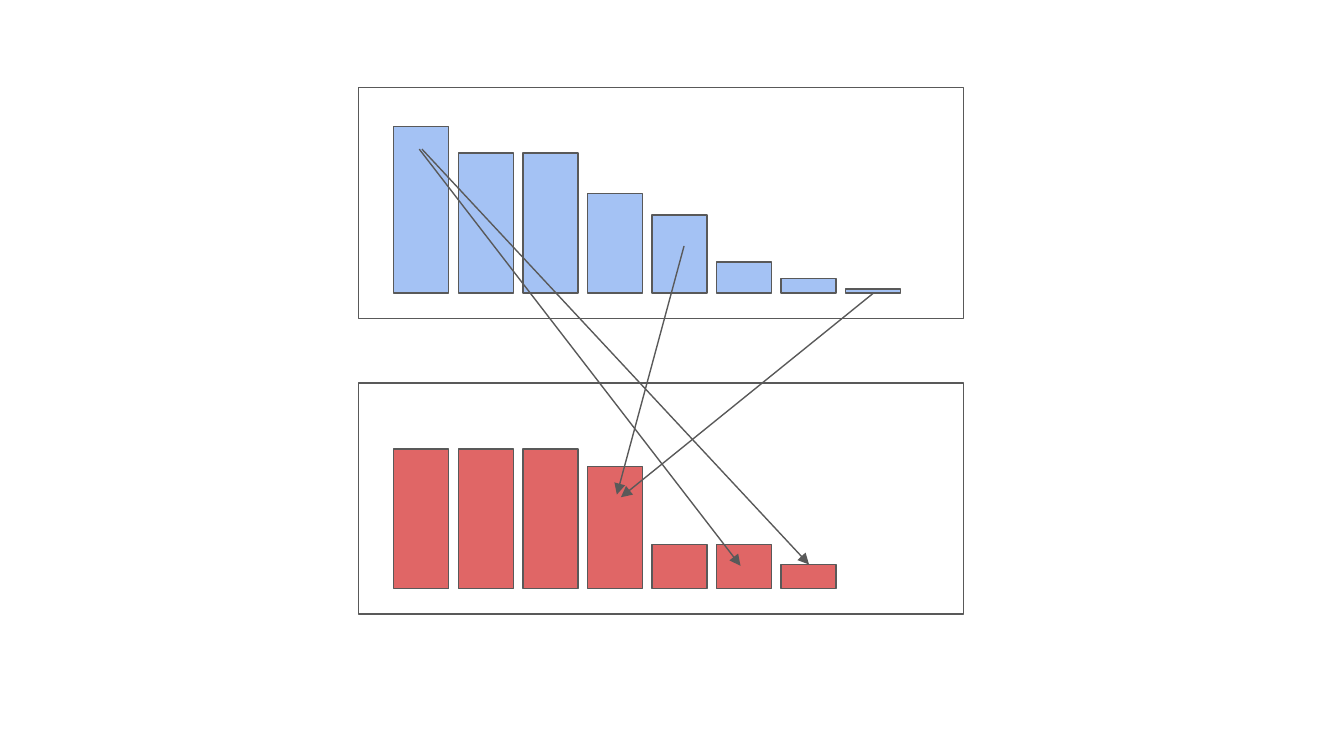
import pptx
import pptx.dml.color
import pptx.enum.shapes
import pptx.oxml.ns
import pptx.util
from dataclasses import dataclass
from lxml import etree


@dataclass(frozen=True)
class Theme:
    line: str = "595959"
    blue: str = "A4C2F4"
    red: str = "E06666"
    line_width: float = 0.75


theme = Theme()
qn = pptx.oxml.ns.qn
Inches = pptx.util.Inches


def set_line(shape):
    shape.line.color.rgb = pptx.dml.color.RGBColor.from_string(theme.line)
    shape.line.width = pptx.util.Pt(theme.line_width)


def add_rect(s, left, top, width, height, fill=None):
    sp = s.shapes.add_shape(
        pptx.enum.shapes.MSO_SHAPE.RECTANGLE,
        Inches(left), Inches(top), Inches(width), Inches(height))
    sp.shadow.inherit = False
    if fill:
        sp.fill.solid()
        sp.fill.fore_color.rgb = pptx.dml.color.RGBColor.from_string(fill)
    else:
        sp.fill.background()
    set_line(sp)


prs = pptx.Presentation()
prs.slide_width = Inches(10)
prs.slide_height = Inches(10 * 9 / 16)
s = prs.slides.add_slide(prs.slide_layouts[6])

panel_left, panel_width, panel_height = 2.67, 4.5, 1.72
bar_left, bar_width, bar_pitch = 2.93, 0.41, 0.48
panels = [
    (0.65, 2.18, theme.blue, [1.24, 1.04, 1.04, 0.74, 0.58, 0.23, 0.11, 0.03]),
    (2.85, 4.38, theme.red, [1.04, 1.04, 1.04, 0.91, 0.33, 0.33, 0.18]),
]
for panel_top, baseline, fill, heights in panels:
    add_rect(s, panel_left, panel_top, panel_width, panel_height)
    for i, height in enumerate(heights):
        add_rect(s, bar_left + i * bar_pitch, baseline - height, bar_width, height, fill)

arrows = [
    (6.5, 2.18, 4.62, 3.7),
    (3.12, 1.11, 5.51, 4.21),
    (3.14, 1.11, 6.02, 4.2),
    (5.09, 1.83, 4.59, 3.68),
]
for ends in arrows:
    arrow = s.shapes.add_connector(
        pptx.enum.shapes.MSO_CONNECTOR.STRAIGHT, *[Inches(v) for v in ends])
    set_line(arrow)
    spPr = arrow._element.spPr
    etree.SubElement(spPr.find(qn("a:ln")), qn("a:tailEnd"), type="triangle", w="med", len="med")
    etree.SubElement(spPr, qn("a:effectLst"))

prs.save("out.pptx")
